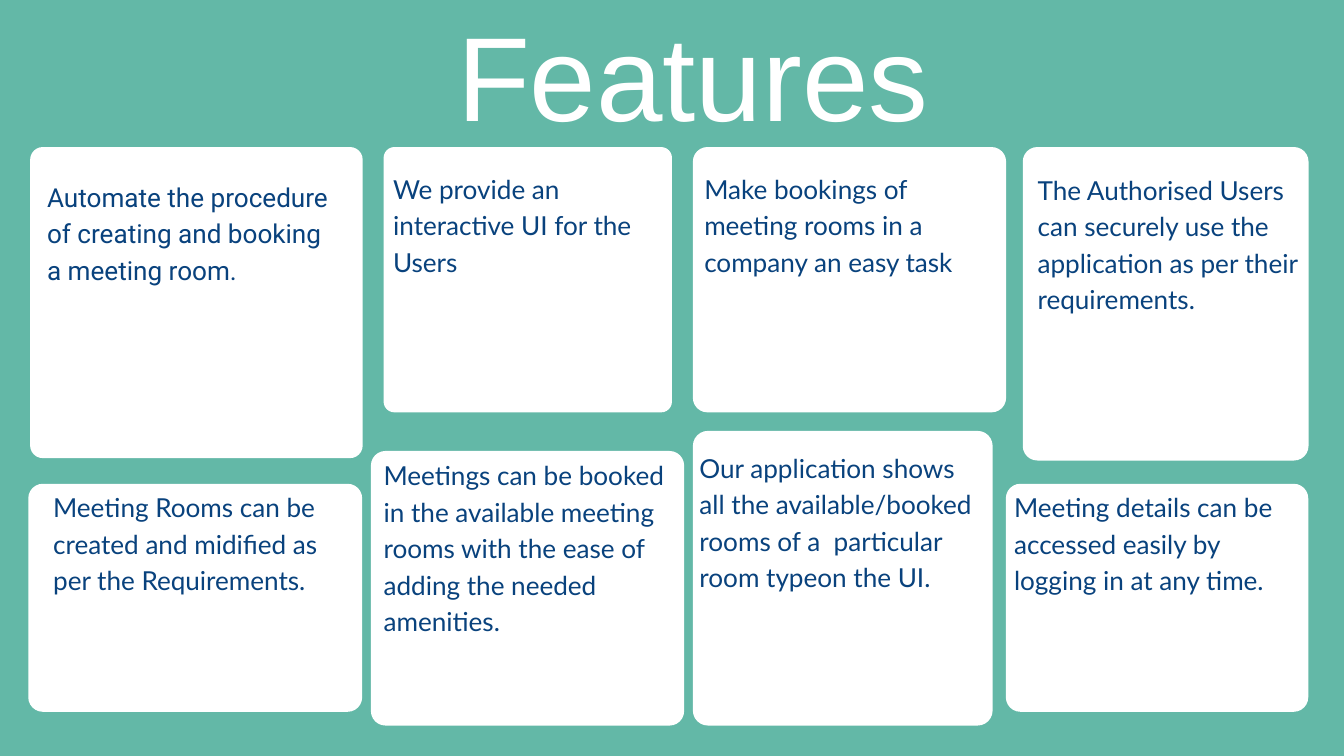
from pptx import Presentation
from pptx.dml.color import RGBColor
from pptx.enum.shapes import MSO_SHAPE as Shape
from pptx.enum.text import MSO_ANCHOR as Anchor, MSO_AUTO_SIZE as AutoSize, PP_ALIGN as Align
from pptx.util import Cm, Pt

TEAL, WHITE, NAVY = "63B8A7", "FFFFFF", "09427D"
TEXT_WIDTH = 10.82
ROW_TOP = 5.56

FEATURES = [
    ((1.14, ROW_TOP, 12.57, 11.76), 0.48, (1.78, 6.65, 8.26), "Roboto",
     "Automate the procedure of creating and booking a meeting room."),
    ((14.5, ROW_TOP, 10.9, 10.03), 0.41, (14.86, 6.35, 6.88), "Lato",
     "We provide an interactive UI for the Users"),
    ((26.19, ROW_TOP, 11.84, 10.03), 0.55, (26.62, 6.35, 6.88), "Lato",
     "Make bookings of meeting rooms in a company an easy task"),
    ((38.66, ROW_TOP, 10.8, 11.85), 0.55, (39.22, 6.38, 8.26), "Lato",
     "The Authorised Users can securely use the application as per their requirements."),
    ((1.07, 18.29, 12.62, 8.62), 0.55, (2.01, 18.39, 8.26), "Lato",
     "Meeting Rooms can be created and midified as per the Requirements."),
    ((14.02, 17.05, 11.84, 10.38), 0.55, (14.5, 17.17, 9.65), "Lato",
     "Meetings can be booked in the available meeting rooms with the ease of adding the needed amenities."),
    ((26.19, 16.29, 11.33, 11.14), 0.57, (26.44, 16.89, 6.88), "Lato",
     "Our application shows all the available/booked rooms of a  particular room typeon the UI."),
    ((38.02, 18.29, 11.43, 8.62), 0.55, (38.33, 18.39, 5.49), "Lato",
     "Meeting details can be accessed easily by logging in at any time."),
]


def color(hex_code):
    return RGBColor.from_string(hex_code)


def write(frame, text, font, size, hex_code, align, auto_size):
    frame.word_wrap = True
    frame.auto_size = auto_size
    frame.vertical_anchor = Anchor.TOP
    frame.margin_left = frame.margin_right = frame.margin_top = frame.margin_bottom = 0
    paragraph = frame.paragraphs[0]
    paragraph.alignment = align
    paragraph.line_spacing = Pt(size * 1.4)
    run = paragraph.add_run()
    run.text = text
    run.font.name = font
    run.font.size = Pt(size)
    run.font.color.rgb = color(hex_code)


def add_title(slide, text):
    title = slide.shapes.title
    title.left, title.top, title.width, title.height = map(Cm, (16.87, -0.84, 18.64, 6.4))
    write(title.text_frame, text, "Arial", 128, WHITE, Align.CENTER, AutoSize.NONE)


def add_card(slide, bounds, radius):
    card = slide.shapes.add_shape(Shape.ROUNDED_RECTANGLE, *map(Cm, bounds))
    card.adjustments[0] = radius / min(bounds[2:])
    card.shadow.inherit = False
    card.fill.solid()
    card.fill.fore_color.rgb = color(WHITE)
    card.line.fill.background()


def add_description(slide, place, font, text):
    left, top, height = place
    description = slide.shapes.add_textbox(Cm(left), Cm(top), Cm(TEXT_WIDTH), Cm(height))
    write(description.text_frame, text, font, 28, NAVY, Align.LEFT, AutoSize.SHAPE_TO_FIT_TEXT)


def main():
    deck = Presentation()
    deck.slide_width, deck.slide_height = Cm(50.8), Cm(28.58)
    slide = deck.slides.add_slide(deck.slide_layouts.get_by_name("Title Only"))
    slide.background.fill.solid()
    slide.background.fill.fore_color.rgb = color(TEAL)
    add_title(slide, "Features")
    for bounds, radius, _, _, _ in FEATURES:
        add_card(slide, bounds, radius)
    for _, _, place, font, text in FEATURES:
        add_description(slide, place, font, text)
    deck.save("out.pptx")


if __name__ == "__main__":
    main()
